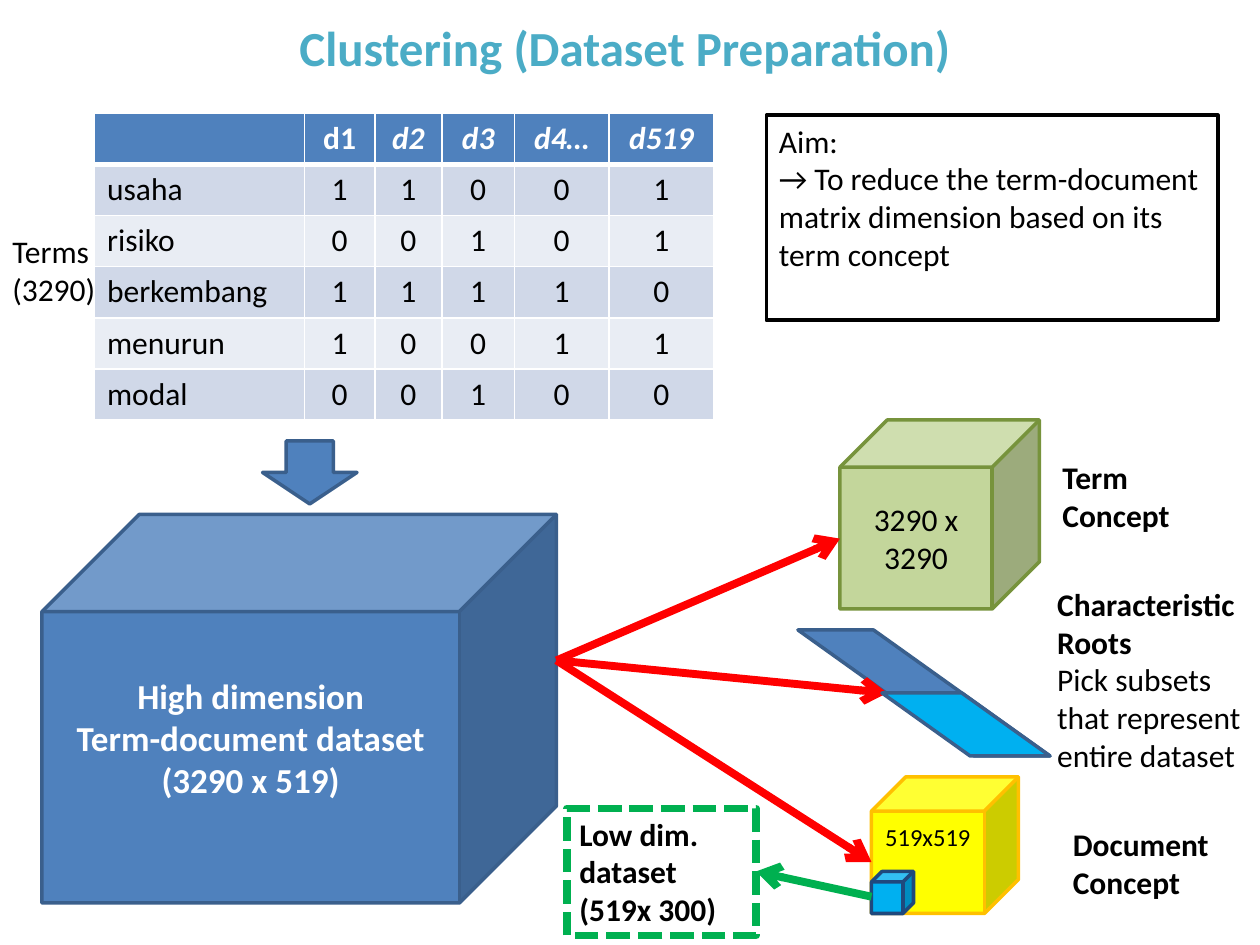
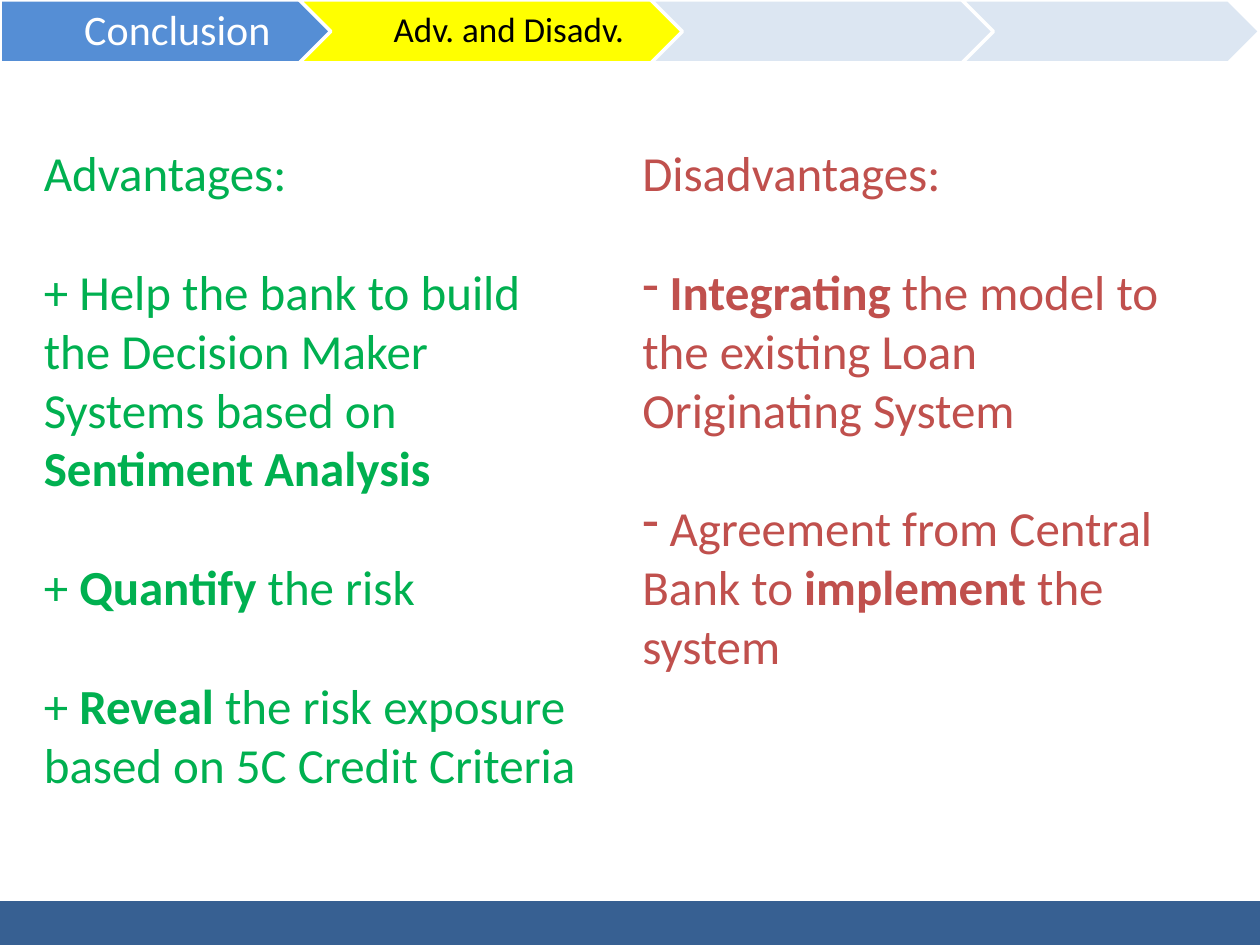
"""Build two slides on clustering data and its advantages."""
import dataclasses
import typing

import lxml.etree
import pptx
import pptx.dml.color
import pptx.enum.dml
import pptx.enum.shapes
import pptx.enum.text
import pptx.oxml.ns
import pptx.util

WIDTH, HEIGHT = pptx.util.Inches(10), pptx.util.Inches(7.5)
COLUMNS, ROWS = 120, 90
FONT = "Calibri"
BLACK, WHITE, RED, GREEN = "000000", "FFFFFF", "FF0000", "00B050"
BLUE, DARK_BLUE, CYAN, PALE_BLUE = "4F81BD", "3A5F8C", "00B0F0", "DCE6F2"
BAR_BLUE, BRICK, YELLOW = "376092", "C0504D", "FFFF00"
TABLE_BANDS = ("D0D8E8", "E9EDF4")
PRESET = pptx.enum.shapes.MSO_SHAPE
ALIGN = pptx.enum.text.PP_ALIGN
ANCHOR = pptx.enum.text.MSO_ANCHOR


class Box(typing.NamedTuple):
    left: float
    top: float
    width: float
    height: float


@dataclasses.dataclass(frozen=True)
class TextStyle:
    size: float = 18
    color: str = BLACK
    bold: bool = False
    align: typing.Any = ALIGN.LEFT
    anchor: typing.Any = ANCHOR.TOP
    insets: tuple = (0.1, 0.05, 0.1, 0.05)
    gap: float = 0
    bullet: str = ""
    wrap: bool = True
    spacing: float = 1


@dataclasses.dataclass(frozen=True)
class Block:
    preset: typing.Any
    box: Box
    fill: str = ""
    line: str = DARK_BLUE
    line_width: float = 2
    lines: tuple = ()
    style: TextStyle = TextStyle()
    skew: float = 0
    dashed: bool = False


class Arrow(typing.NamedTuple):
    start: tuple
    end: tuple
    color: str = RED


PLAIN = TextStyle()
BOLD = TextStyle(bold=True)
CENTERED = TextStyle(align=ALIGN.CENTER, anchor=ANCHOR.MIDDLE)
TITLE = dataclasses.replace(CENTERED, size=28, color="4BACC6", bold=True, wrap=False)


def across(columns: float) -> int:
    return round(WIDTH * columns / COLUMNS)


def down(rows: float) -> int:
    return round(HEIGHT * rows / ROWS)


def place(box: Box) -> tuple:
    return across(box.left), down(box.top), across(box.width), down(box.height)


def rgb(color: str) -> pptx.dml.color.RGBColor:
    return pptx.dml.color.RGBColor.from_string(color)


def add_element(parent, tag: str, **attributes):
    return lxml.etree.SubElement(parent, pptx.oxml.ns.qn(tag), attributes)


def write_lines(text_frame, lines: tuple, style: TextStyle) -> None:
    """Write one paragraph per line; asterisks enclose bold words."""
    text_frame.auto_size = pptx.enum.text.MSO_AUTO_SIZE.NONE
    text_frame.word_wrap = style.wrap
    text_frame.vertical_anchor = style.anchor
    (text_frame.margin_left, text_frame.margin_top,
     text_frame.margin_right, text_frame.margin_bottom) = map(pptx.util.Inches, style.insets)
    for index, line in enumerate(lines):
        paragraph = text_frame.add_paragraph() if index else text_frame.paragraphs[0]
        paragraph.alignment = style.align
        paragraph.line_spacing = style.spacing
        if index:
            paragraph.space_before = pptx.util.Pt(style.gap)
            if style.bullet:
                properties = paragraph._p.get_or_add_pPr()
                properties.set("marL", "0")
                properties.set("indent", "0")
                add_element(properties, "a:buFontTx")
                add_element(properties, "a:buChar", char=style.bullet)
        for part, words in enumerate(line.split("*")):
            if words:
                run = paragraph.add_run()
                run.text = words
                run.font.name = FONT
                run.font.size = pptx.util.Pt(style.size)
                run.font.bold = style.bold or part % 2 == 1
                run.font.color.rgb = rgb(style.color)


def add_text(slide, box: Box, lines: tuple, style: TextStyle) -> None:
    write_lines(slide.shapes.add_textbox(*place(box)).text_frame, lines, style)


def set_title(slide, box: Box, text: str, style: TextStyle) -> None:
    title = slide.shapes.title
    title.left, title.top, title.width, title.height = place(box)
    write_lines(title.text_frame, (text,), style)
    slide.shapes._spTree.append(title._element)


def add_block(slide, block: Block) -> None:
    shape = slide.shapes.add_shape(block.preset, *place(block.box))
    shape.shadow.inherit = False
    if block.fill:
        shape.fill.solid()
        shape.fill.fore_color.rgb = rgb(block.fill)
    else:
        shape.fill.background()
    shape.line.color.rgb = rgb(block.line)
    shape.line.width = pptx.util.Pt(block.line_width)
    if block.dashed:
        shape.line.dash_style = pptx.enum.dml.MSO_LINE.SQUARE_DOT
    if block.skew:
        shape.adjustments[0] = block.skew
        shape._element.spPr.find(pptx.oxml.ns.qn("a:xfrm")).set("flipH", "1")
    write_lines(shape.text_frame, block.lines, block.style)


def add_arrow(slide, arrow: Arrow) -> None:
    (start_x, start_y), (end_x, end_y) = arrow.start, arrow.end
    connector = slide.shapes.add_connector(
        pptx.enum.shapes.MSO_CONNECTOR.STRAIGHT,
        across(start_x), down(start_y), across(end_x), down(end_y))
    connector.line.color.rgb = rgb(arrow.color)
    connector.line.width = pptx.util.Pt(4.5)
    properties = connector._element.spPr
    add_element(properties.find(pptx.oxml.ns.qn("a:ln")), "a:tailEnd", type="arrow")
    add_element(properties, "a:effectLst")


def add_border(cell, side: str, points: float) -> None:
    line = add_element(cell._tc.get_or_add_tcPr(), f"a:ln{side}",
                       w=str(pptx.util.Pt(points)))
    add_element(add_element(line, "a:solidFill"), "a:srgbClr", val=WHITE)


def add_term_table(slide, left: float, top: float, row_height: float,
                   widths: tuple, rows: tuple) -> None:
    box = Box(left, top, sum(widths), row_height * len(rows))
    table = slide.shapes.add_table(len(rows), len(widths), *place(box)).table
    table.horz_banding = False
    for column, width in zip(table.columns, widths):
        column.width = across(width)
    for row_index, values in enumerate(rows):
        table.rows[row_index].height = down(row_height)
        header = row_index == 0
        fill = BLUE if header else TABLE_BANDS[(row_index - 1) % 2]
        for column_index, value in enumerate(values):
            cell = table.cell(row_index, column_index)
            for side in "LRTB":
                thick = (row_index, side) in ((0, "B"), (1, "T"))
                add_border(cell, side, 3 if thick else 1)
            cell.fill.solid()
            cell.fill.fore_color.rgb = rgb(fill)
            write_cell(cell, value, header, column_index)


def write_cell(cell, value: str, header: bool, column_index: int) -> None:
    cell.text_frame.text = value
    paragraph = cell.text_frame.paragraphs[0]
    paragraph.alignment = ALIGN.CENTER if column_index else ALIGN.LEFT
    for run in paragraph.runs:
        run.font.name = FONT
        run.font.size = pptx.util.Pt(18)
        run.font.bold = header
        run.font.italic = header and column_index > 1
        run.font.color.rgb = rgb(WHITE if header else BLACK)


def new_slide(presentation):
    return presentation.slides.add_slide(presentation.slide_layouts.get_by_name("Title Only"))


def build_preparation(presentation) -> None:
    slide = new_slide(presentation)
    set_title(slide, Box(26.9, 1.1, 65.2, 6.8), "Clustering (Dataset Preparation)", TITLE)
    cubes = (
        Block(PRESET.CUBE, Box(4, 49, 49, 37), BLUE,
              lines=("High dimension", "Term-document dataset", "(3290 x 519)"),
              style=dataclasses.replace(CENTERED, size=20, color=WHITE, bold=True,
                                        insets=(0.1, 0.05, 0.1, 0.36))),
        Block(PRESET.CUBE, Box(80, 40, 19, 18), "C3D69B", "77933C",
              lines=("3290 x 3290",), style=CENTERED),
        Block(PRESET.CUBE, Box(83, 74, 14, 13), YELLOW, "FFC000", lines=("519x519",),
              style=dataclasses.replace(CENTERED, size=14, insets=(0.1, 0.05, 0.1, 0.46))),
        Block(PRESET.PARALLELOGRAM, Box(76, 60, 24, 12), BLUE, skew=1.4),
    )
    for block in cubes:
        add_block(slide, block)
    fan_start = (53, 62.9)
    for end in ((80, 51.3), (84.5, 66), (83, 82.1)):
        add_arrow(slide, Arrow(fan_start, end))
    add_term_table(slide, 9, 10.8, 4.87, (20, 6.7, 6.4, 6.9, 9, 10), (
        ("", "d1", "d2", "d3", "d4…", "d519"),
        ("usaha", *"11001"),
        ("risiko", *"00101"),
        ("berkembang", *"11110"),
        ("menurun", *"10011"),
        ("modal", *"00100"),
    ))
    details = (
        Block(PRESET.PARALLELOGRAM, Box(84, 66, 16, 6), CYAN, skew=1.4),
        Block(PRESET.DOWN_ARROW, Box(25, 42, 9, 6), BLUE),
        Block(PRESET.CUBE, Box(83, 83, 4, 4), CYAN, "1F497D"),
        Block(PRESET.RECTANGLE, Box(54, 77, 18, 12.1), "", GREEN, 4.5,
              ("Low dim.", "dataset", "(519x 300)"), BOLD, dashed=True),
        Block(PRESET.RECTANGLE, Box(73, 11, 43, 19.5), "", BLACK, 2.25,
              ("Aim:", "→ To reduce the term-document matrix dimension "
                       "based on its term concept")),
    )
    for block in details:
        add_block(slide, block)
    add_arrow(slide, Arrow((83, 85.4), (72, 83), GREEN))
    labels = (
        (Box(100, 43, 15, 8.5), ("Term", "Concept"), BOLD),
        (Box(101, 78, 18, 8.5), ("Document", "Concept"), BOLD),
        (Box(99.5, 55.1, 21, 19.4), ("*Characteristic*", "*Roots*",
                                    "Pick subsets that represent entire dataset"), PLAIN),
        (Box(0, 21.5, 11, 12.1), ("Terms", "(3290)"), PLAIN),
    )
    for box, lines, style in labels:
        add_text(slide, box, lines, style)


def build_conclusion(presentation) -> None:
    slide = new_slide(presentation)
    step_style = dataclasses.replace(CENTERED, size=20, spacing=0.9,
                                     insets=(0.09, 0.06, 0.03, 0.06))
    steps = ((34.2, "558ED5", ()), (39.2, YELLOW, ("Adv. and Disadv.",)),
             (35.3, PALE_BLUE, ()), (28.4, PALE_BLUE, ()))
    overlap, left = 5.7, 0
    for index, (width, fill, lines) in enumerate(steps):
        preset = PRESET.CHEVRON if index else PRESET.PENTAGON
        add_block(slide, Block(preset, Box(left, 0, width, 6), fill, WHITE,
                               lines=lines, style=step_style))
        left += width - overlap
    set_title(slide, Box(0, 0, 32.6, 6), "Conclusion", dataclasses.replace(
        step_style, size=24, color=WHITE, insets=(0.14, 0.07, 0.04, 0.07)))
    add_block(slide, Block(PRESET.RECTANGLE, Box(0, 86, COLUMNS, 4), BAR_BLUE, BAR_BLUE))
    pros = TextStyle(size=28, color=GREEN, gap=34.2)
    add_text(slide, Box(3, 13, 55, 74.8), (
        "Advantages:",
        "+ Help the bank to build the Decision Maker Systems based on *Sentiment Analysis*",
        "+ *Quantify* the risk",
        "+ *Reveal* the risk exposure based on 5C Credit Criteria"), pros)
    add_text(slide, Box(60, 13, 55, 57.7), (
        "Disadvantages:",
        " *Integrating* the model to the existing Loan Originating System",
        " Agreement from Central Bank to *implement* the system"),
        dataclasses.replace(pros, color=BRICK, bullet="-"))


def main() -> None:
    presentation = pptx.Presentation()
    presentation.slide_width, presentation.slide_height = WIDTH, HEIGHT
    build_preparation(presentation)
    build_conclusion(presentation)
    presentation.save("out.pptx")


if __name__ == "__main__":
    main()
